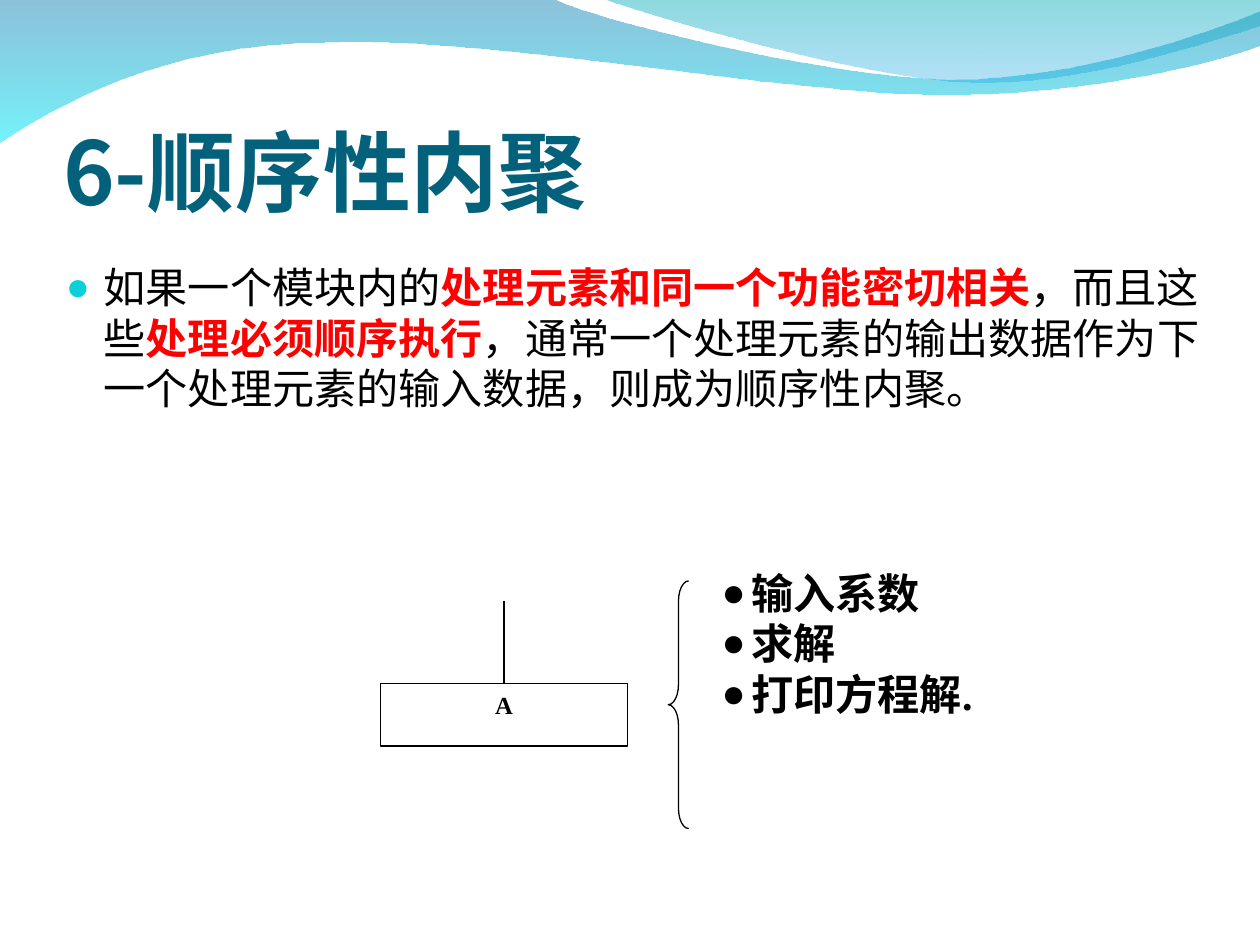
from dataclasses import dataclass

from lxml import etree
from pptx import Presentation
from pptx.dml.color import RGBColor
from pptx.enum.shapes import MSO_CONNECTOR, MSO_SHAPE
from pptx.enum.text import MSO_ANCHOR, MSO_AUTO_SIZE, PP_ALIGN
from pptx.oxml.ns import qn
from pptx.util import Cm, Pt

RECT, LEFT_BRACE = MSO_SHAPE.RECTANGLE, MSO_SHAPE.LEFT_BRACE
STRAIGHT = MSO_CONNECTOR.STRAIGHT
TOP, BOTTOM = MSO_ANCHOR.TOP, MSO_ANCHOR.BOTTOM
LEFT, CENTER = PP_ALIGN.LEFT, PP_ALIGN.CENTER
NO_AUTOFIT = MSO_AUTO_SIZE.NONE


@dataclass(frozen=True)
class Theme:
    """Colours, fonts and type sizes of the slide."""
    title: str = "04617B"
    text: str = "000000"
    accent: str = "FF0000"
    bullet: str = "0BD0D9"
    paper: str = "FFFFFF"
    sans: str = "Arial"
    serif: str = "Times New Roman"
    body: str = "TeX Gyre Pagella"
    cjk: str = "Noto Sans CJK SC"
    title_size: float = 50
    body_size: float = 24
    label_size: float = 14
    leading: float = 28.8
    line: float = 0.75


T = Theme()
WAVES = [
    ((0, 0),
     [[(11.15, 0)],
      [(12.04, 0.43), (16.81, 1.6), (19.2, 1.6)],
      [(21.62, 1.6), (24.28, 0.66), (25.32, 0.23)],
      [(25.32, 0.91)],
      [(24.92, 1.12), (22.02, 1.93), (18.9, 1.91)],
      [(15.75, 1.91), (9.68, 0.71), (6.53, 0.86)],
      [(3.28, 0.89), (1.17, 2.11), (0, 2.87)]],
     [("0079AF", 45), ("00EBF8", 55)]),
    ((12.14, 0),
     [[(12.9, 0.28), (17.27, 1.57), (19.48, 1.65)],
      [(21.67, 1.75), (24.36, 0.81), (25.32, 0.53)],
      [(25.32, 0)]],
     [("00ADB6", 45), ("009BE5", 30)]),
]
DEFINITION = [
    ("如果一个模块内的", False),
    ("处理元素和同一个功能密切相关", True),
    ("，而且这些", False),
    ("处理必须顺序执行", True),
    ("，通常一个处理元素的输出数据作为下一个处理元素的输入数据，则成为顺序性内聚。", False),
]
STEPS = [("输入系数", T.sans), ("求解", T.serif), ("打印方程解.", T.serif)]


def rgb(color):
    """Return a colour object for a hex string."""
    return RGBColor.from_string(color)


def style(r, font, size, color=T.text, bold=True):
    """Format a run, including its East Asian typeface."""
    f = r.font
    f.name, f.size, f.bold = font, Pt(size), bold
    f.color.rgb = rgb(color)
    etree.SubElement(r._r.get_or_add_rPr(), qn("a:ea"), typeface=T.cjk)


def bullet(p, color, indent):
    """Give a paragraph a round bullet and a hanging indent."""
    pPr = p._p.get_or_add_pPr()
    pPr.set("marL", str(indent))
    pPr.set("indent", str(-indent))
    p.line_spacing, p.space_before = Pt(T.leading), Pt(0)
    clr = etree.SubElement(pPr, qn("a:buClr"))
    etree.SubElement(clr, qn("a:srgbClr"), val=color)
    etree.SubElement(pPr, qn("a:buSzPct"), val="95000")
    etree.SubElement(pPr, qn("a:buFont"), typeface=T.sans)
    etree.SubElement(pPr, qn("a:buChar"), char="●")


def place(sp, x, y, w, h):
    """Move and size a shape, in centimetres."""
    sp.left, sp.top, sp.width, sp.height = Cm(x), Cm(y), Cm(w), Cm(h)


def bend(sp, segments):
    """Turn each three-point segment of an outline into one cubic curve."""
    lines = iter(list(sp._element.iter(qn("a:lnTo"))))
    for seg in segments:
        first, *rest = [next(lines) for point in seg]
        if rest:
            first.tag = qn("a:cubicBezTo")
        for line in rest:
            first.append(line[0])
            line.getparent().remove(line)


def add_waves(s, x, y):
    """Draw the translucent waves behind everything else."""
    for i, (start, segments, stops) in enumerate(WAVES):
        points = [(Cm(x + px), Cm(y + py)) for px, py in [start] + sum(segments, [])]
        fb = s.shapes.build_freeform(*points[0])
        fb.add_line_segments(points[1:], close=True)
        sp = fb.convert_to_shape()
        bend(sp, segments)
        sp.shadow.inherit = False
        sp.line.fill.background()
        sp.fill.gradient()
        sp.fill.gradient_angle = 270
        for stop, (color, opacity) in zip(sp.fill.gradient_stops, stops):
            stop.color.rgb = rgb(color)
        for clr, (color, opacity) in zip(sp._element.spPr.iter(qn("a:srgbClr")), stops):
            etree.SubElement(clr, qn("a:alpha"), val=str(opacity * 1000))
        s.shapes.element.insert(2 + i, sp._element)


def add_title(s, x, y, w, h):
    """Fill the title placeholder."""
    sp = s.shapes.title
    place(sp, x, y, w, h)
    tf = sp.text_frame
    tf.text = "6-顺序性内聚"
    tf.auto_size, tf.vertical_anchor = NO_AUTOFIT, BOTTOM
    tf.margin_left = tf.margin_right = tf.margin_bottom = 0
    p = tf.paragraphs[0]
    p.alignment = LEFT
    style(p.runs[0], T.cjk, T.title_size, T.title)


def add_definition(s, x, y, w, h):
    """Fill the body placeholder with the definition."""
    sp = s.placeholders[1]
    place(sp, x, y, w, h)
    tf = sp.text_frame
    tf.auto_size, tf.vertical_anchor = NO_AUTOFIT, TOP
    p = tf.paragraphs[0]
    bullet(p, T.bullet, Cm(0.76))
    for text, key in DEFINITION:
        r = p.add_run()
        r.text = text
        style(r, T.body, T.body_size, T.accent if key else T.text, key)


def add_diagram(s, x, y, w, h):
    """Draw module A with its stem, brace and list of steps."""
    box = s.shapes.add_shape(RECT, Cm(x), Cm(y + 2.47), Cm(4.96), Cm(1.25))
    box.fill.solid()
    box.fill.fore_color.rgb = rgb(T.paper)
    tf = box.text_frame
    tf.text, tf.vertical_anchor = "A", TOP
    tf.paragraphs[0].alignment = CENTER
    style(tf.paragraphs[0].runs[0], T.serif, T.label_size)

    mid = box.left + box.width // 2
    stem = s.shapes.add_connector(STRAIGHT, mid, Cm(y + 0.81), mid, box.top)
    stem.end_connect(box, 0)
    etree.SubElement(stem._element.spPr, qn("a:effectLst"))

    brace = s.shapes.add_shape(LEFT_BRACE, Cm(x + 5.78), Cm(y + 0.4), Cm(0.41), Cm(4.98))
    brace.adjustments[0] = 1
    brace.fill.background()
    for sp in (box, brace):
        sp.shadow.inherit = False
    for sp in (box, stem, brace):
        sp.line.color.rgb = rgb(T.text)
        sp.line.width = Pt(T.line)

    steps = s.shapes.add_textbox(Cm(x + 6.6), Cm(y), Cm(w - 6.6), Cm(h))
    tf = steps.text_frame
    tf.word_wrap = True
    tf.text = "\n".join(text for text, font in STEPS)
    for p, (text, font) in zip(tf.paragraphs, STEPS):
        bullet(p, T.text, Cm(0.6))
        style(p.runs[0], font, T.body_size)


def main():
    """Build and save the slide."""
    prs = Presentation()
    prs.slide_width, prs.slide_height = Cm(25.32), Cm(19.02)
    s = prs.slides.add_slide(prs.slide_layouts[1])
    add_waves(s, 0, 0)
    add_title(s, 1.27, 1.3, 22.81, 3.18)
    add_definition(s, 1.07, 5.13, 23.65, 10.77)
    add_diagram(s, 7.65, 11.28, 12.42, 5.4)
    prs.save("out.pptx")


if __name__ == "__main__":
    main()
